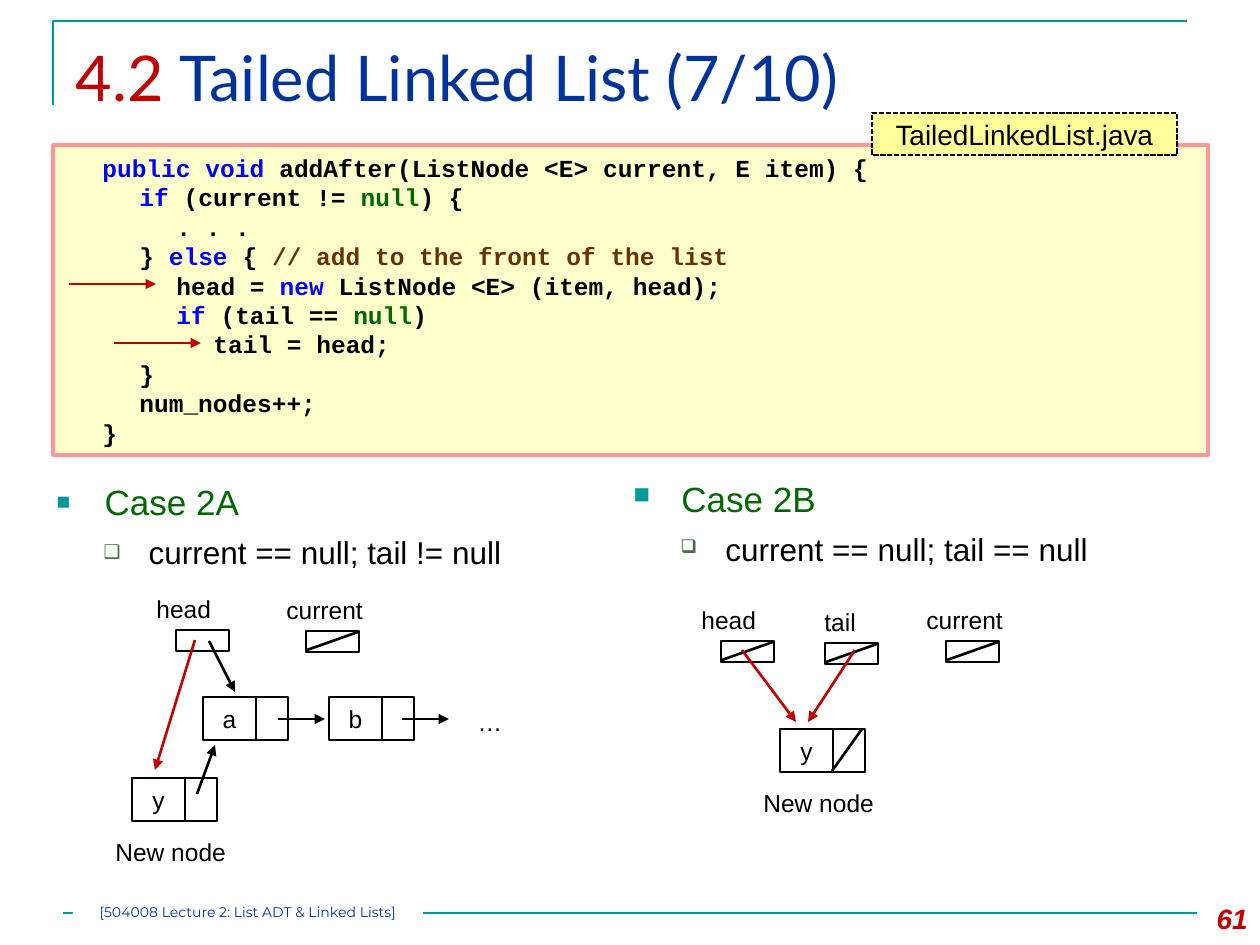
"""Build the Tailed Linked List lecture slide."""
from typing import NamedTuple

from lxml.etree import SubElement
from pptx import Presentation
from pptx.dml.color import RGBColor
from pptx.enum.dml import MSO_LINE
from pptx.enum.shapes import MSO_CONNECTOR, MSO_SHAPE
from pptx.enum.text import MSO_ANCHOR as Anchor, MSO_AUTO_SIZE as AutoSize, PP_ALIGN as Align
from pptx.oxml.ns import qn
from pptx.util import Emu, Pt

SCALE = 914400 / 126
COLORS = {
    "black": "000000", "white": "FFFFFF", "teal": "009999", "navy": "003399",
    "red": "C00000", "blue": "0000FF", "green": "006600", "brown": "663300",
    "cream": "FFFFCC", "pink": "FF9999", "yellow": "FFFF99", "sage": "4C6D4E",
}


class Rect(NamedTuple):
    left: int
    top: int
    width: int
    height: int


class Style(NamedTuple):
    size: int = 14
    color: str = "black"
    font: str = "Arial"
    bold: bool = False
    italic: bool = False


class Pointer(NamedTuple):
    label: str
    left: int
    top: int
    is_null: bool = True
    label_shift: int = 32


class Node(NamedTuple):
    letter: str
    left: int
    top: int
    is_new: bool = False


class Arrow(NamedTuple):
    start: tuple[int, int]
    end: tuple[int, int]
    color: str = "black"


class Bullet(NamedTuple):
    symbol: str
    color: str
    percent: int
    margin: int
    hanging: int
    style: Style


BULLETS = [
    Bullet("■", "teal", 65, 48, 48, Style(20, "green")),
    Bullet("❑", "sage", 60, 92, 45, Style(18)),
]
CODE = [
    (1, [("public void ", "blue"), ("addAfter(ListNode <E> current, E item) {", "black")]),
    (2, [("if ", "blue"), ("(current != ", "black"), ("null", "green"), (") {", "black")]),
    (3, [(". . .", "black")]),
    (2, [("} ", "black"), ("else", "blue"), (" { ", "black"),
         ("// add to the front of the list", "brown")]),
    (3, [("head = ", "black"), ("new", "blue"), (" ListNode <E> (item, head);", "black")]),
    (3, [("if", "blue"), (" (tail == ", "black"), ("null", "green"), (")", "black")]),
    (4, [("tail = head;", "black")]),
    (2, [("}", "black")]),
    (2, [("num_nodes++;", "black")]),
    (1, [("}", "black")]),
]
POINTERS = [
    Pointer("head", 176, 630, is_null=False), Pointer("current", 306, 631),
    Pointer("head", 721, 641), Pointer("tail", 825, 643, label_shift=13),
    Pointer("current", 946, 641),
]
NODES = [Node("a", 203, 697), Node("b", 329, 697),
         Node("y", 132, 778, is_new=True), Node("y", 780, 729, is_new=True)]
ARROWS = [
    Arrow((69, 284), (156, 284), "red"), Arrow((114, 343), (201, 343), "red"),
    Arrow((209, 641), (235, 692)), Arrow((195, 640), (155, 770), "red"),
    Arrow((278, 719), (325, 719)), Arrow((402, 719), (449, 719)),
    Arrow((197, 794), (215, 745)),
    Arrow((742, 650), (796, 722), "red"), Arrow((855, 650), (808, 722), "red"),
]


def px(value: int) -> Emu:
    return Emu(round(value * SCALE))


def rgb(name: str) -> RGBColor:
    return RGBColor.from_string(COLORS[name])


def add_span(para, text: str, style: Style) -> None:
    span = para.add_run()
    span.text = text
    font = span.font
    font.size, font.name = Pt(style.size), style.font
    font.bold, font.italic = style.bold, style.italic
    font.color.rgb = rgb(style.color)


def place(box, rect: Rect) -> None:
    box.left, box.top, box.width, box.height = map(px, rect)


def add_text(page, rect: Rect, text: str, style: Style = Style(), align=Align.LEFT) -> None:
    box = page.shapes.add_textbox(*map(px, rect))
    box.text_frame.word_wrap = True
    para = box.text_frame.paragraphs[0]
    para.alignment = align
    add_span(para, text, style)


def add_box(page, rect: Rect, fill: str = "", line: str = "black", weight: float = 1.5,
            text: str = "", style: Style = Style()):
    box = page.shapes.add_shape(MSO_SHAPE.RECTANGLE, *map(px, rect))
    box.shadow.inherit = False
    if fill:
        box.fill.solid()
        box.fill.fore_color.rgb = rgb(fill)
    else:
        box.fill.background()
    if line:
        box.line.color.rgb = rgb(line)
        box.line.width = Pt(weight)
    else:
        box.line.fill.background()
    if text:
        frame = box.text_frame
        frame.margin_left = frame.margin_right = frame.margin_top = frame.margin_bottom = 0
        frame.vertical_anchor = Anchor.MIDDLE
        frame.paragraphs[0].alignment = Align.CENTER
        add_span(frame.paragraphs[0], text, style)
    return box


def add_line(page, start: tuple[int, int], end: tuple[int, int],
             color: str = "black", arrow: bool = False) -> None:
    line = page.shapes.add_connector(MSO_CONNECTOR.STRAIGHT, *map(px, start + end))
    line.line.color.rgb = rgb(color)
    line.line.width = Pt(1.5)
    if arrow:
        SubElement(line.line._get_or_add_ln(), qn("a:tailEnd"), type="triangle")
    SubElement(line._element.spPr, qn("a:effectLst"))


def add_pointer(page, pointer: Pointer) -> None:
    left, top = pointer.left, pointer.top
    add_text(page, Rect(left - pointer.label_shift, top - 42, 108, 43), pointer.label)
    add_box(page, Rect(left, top, 53, 21), "white")
    if pointer.is_null:
        add_line(page, (left + 1, top + 19), (left + 52, top + 1))


def add_node(page, node: Node) -> None:
    add_box(page, Rect(node.left, node.top, 53, 43), text=node.letter)
    add_box(page, Rect(node.left + 53, node.top, 32, 43))
    if node.is_new:
        add_text(page, Rect(node.left - 29, node.top + 53, 140, 43), "New node")


def fill_case(frame, texts: list[str]) -> None:
    frame.word_wrap = True
    frame.auto_size = AutoSize.NONE
    for level, (text, bullet) in enumerate(zip(texts, BULLETS)):
        para = frame.add_paragraph() if level else frame.paragraphs[0]
        para.level = level
        para.space_before = Pt(6 * level)
        props = para._p.get_or_add_pPr()
        props.set("marL", str(px(bullet.margin)))
        props.set("indent", str(-px(bullet.hanging)))
        SubElement(SubElement(props, qn("a:buClr")), qn("a:srgbClr"), val=COLORS[bullet.color])
        SubElement(props, qn("a:buSzPct"), val=str(bullet.percent * 1000))
        SubElement(props, qn("a:buChar"), char=bullet.symbol)
        add_span(para, text, bullet.style)


def add_code(page) -> None:
    frame = add_box(page, Rect(53, 145, 1155, 310), "cream", "pink", 2).text_frame
    frame.vertical_anchor = Anchor.TOP
    frame.margin_top = px(8)
    for row, (indent, spans) in enumerate(CODE):
        para = frame.add_paragraph() if row else frame.paragraphs[0]
        para.alignment = Align.LEFT
        para.line_spacing = Pt(16.8)
        tabs = SubElement(para._p.get_or_add_pPr(), qn("a:tabLst"))
        for stop in range(1, 5):
            SubElement(tabs, qn("a:tab"), pos=str(px(37 * stop)), algn="l")
        for index, (text, color) in enumerate(spans):
            lead = "" if index else "\t" * indent
            add_span(para, lead + text, Style(14, color, "Courier New", bold=True))


def add_frame(page) -> None:
    builder = page.shapes.build_freeform(px(53), px(105))
    builder.add_line_segments([(px(53), px(21)), (px(1187), px(21))], close=False)
    corner = builder.convert_to_shape()
    corner.shadow.inherit = False
    corner.fill.background()
    corner.line.color.rgb = rgb("teal")
    corner.line.width = Pt(1.5)
    add_line(page, (63, 913), (1197, 913), "teal")
    add_box(page, Rect(73, 899, 350, 25), "white", "",
            text="[504008 Lecture 2: List ADT & Linked Lists]", style=Style(8, "navy", "Montserrat"))
    add_text(page, Rect(1176, 895, 84, 50), "61",
             Style(16, "red", bold=True, italic=True), Align.RIGHT)


def main() -> None:
    deck = Presentation()
    deck.slide_width, deck.slide_height = px(1260), px(945)
    page = deck.slides.add_slide(deck.slide_layouts[1])
    add_frame(page)
    title, body = page.placeholders
    place(title, Rect(63, 32, 1134, 108))
    title.text_frame.vertical_anchor = Anchor.TOP
    title.text_frame.auto_size = AutoSize.NONE
    heading = title.text_frame.paragraphs[0]
    heading.alignment = Align.LEFT
    add_span(heading, "4.2 ", Style(36, "red", "Lato"))
    add_span(heading, "Tailed Linked List (7/10)", Style(36, "navy", "Lato"))
    add_code(page)
    tag = add_box(page, Rect(872, 113, 305, 42), "yellow", weight=1,
                  text="TailedLinkedList.java", style=Style(16))
    tag.line.dash_style = MSO_LINE.SQUARE_DOT
    place(body, Rect(44, 474, 554, 130))
    fill_case(body.text_frame, ["Case 2A", "current == null; tail != null"])
    other = page.shapes.add_textbox(*map(px, Rect(621, 471, 554, 130)))
    fill_case(other.text_frame, ["Case 2B", "current == null; tail == null"])
    for pointer in POINTERS:
        add_pointer(page, pointer)
    for node in NODES:
        add_node(page, node)
    add_line(page, (832, 771), (862, 729))
    add_text(page, Rect(460, 701, 60, 43), "…", align=Align.CENTER)
    for arrow in ARROWS:
        add_line(page, arrow.start, arrow.end, arrow.color, arrow=True)
    deck.save("out.pptx")


if __name__ == "__main__":
    main()
